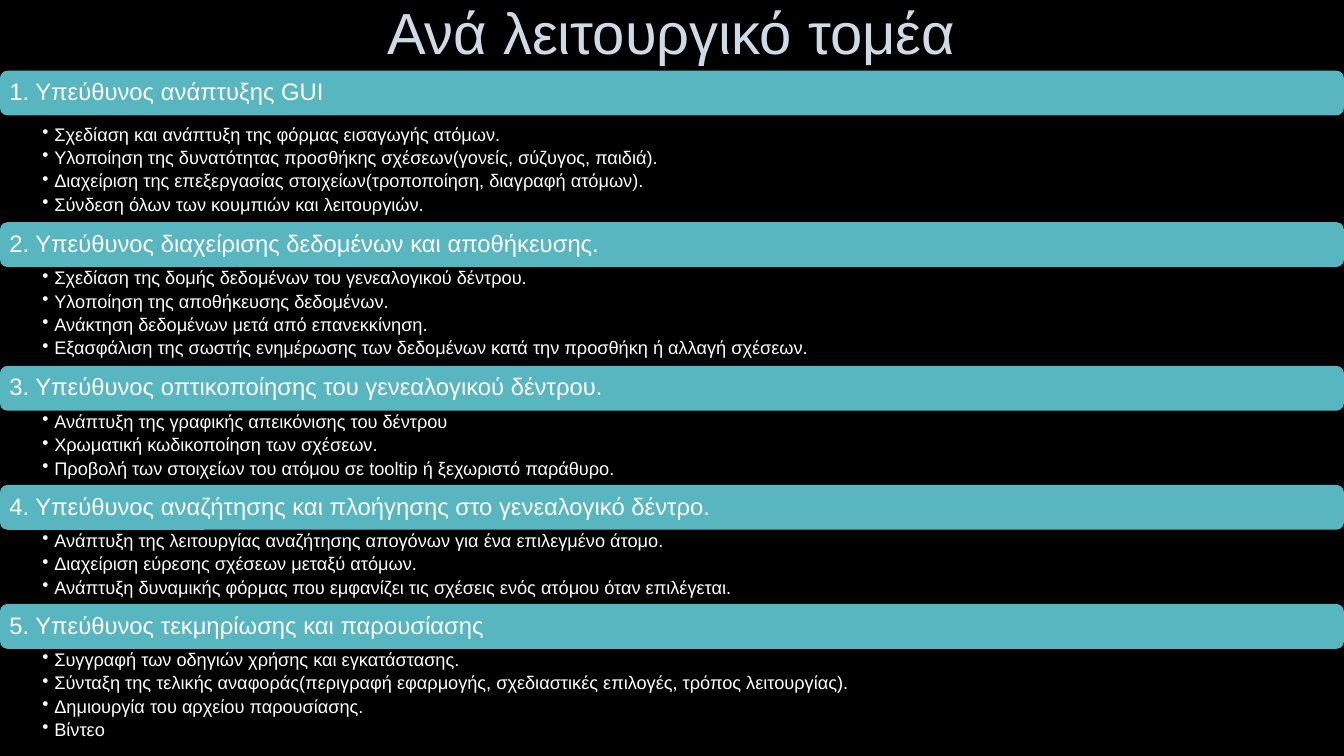
"""Build the slide that lists the duties of each functional area."""
from lxml.etree import SubElement
from pptx import Presentation
from pptx.dml.color import RGBColor
from pptx.enum.shapes import MSO_SHAPE as Preset
from pptx.enum.text import MSO_ANCHOR as Anchor, PP_ALIGN as Align
from pptx.oxml.ns import qn
from pptx.util import Cm, Pt

TITLE = "Ανά λειτουργικό τομέα"
AREAS = [
    ("1. Υπεύθυνος ανάπτυξης GUI", [
        "Σχεδίαση και ανάπτυξη της φόρμας εισαγωγής ατόμων.",
        "Υλοποίηση της δυνατότητας προσθήκης σχέσεων(γονείς, σύζυγος, παιδιά).",
        "Διαχείριση της επεξεργασίας στοιχείων(τροποποίηση, διαγραφή ατόμων).",
        "Σύνδεση όλων των κουμπιών και λειτουργιών.",
    ]),
    ("2. Υπεύθυνος διαχείρισης δεδομένων και αποθήκευσης.", [
        "Σχεδίαση της δομής δεδομένων του γενεαλογικού δέντρου.",
        "Υλοποίηση της αποθήκευσης δεδομένων.",
        "Ανάκτηση δεδομένων μετά από επανεκκίνηση.",
        "Εξασφάλιση της σωστής ενημέρωσης των δεδομένων κατά την προσθήκη ή αλλαγή σχέσεων.",
    ]),
    ("3. Υπεύθυνος οπτικοποίησης του γενεαλογικού δέντρου.", [
        "Ανάπτυξη της γραφικής απεικόνισης του δέντρου",
        "Χρωματική κωδικοποίηση των σχέσεων.",
        "Προβολή των στοιχείων του ατόμου σε tooltip ή ξεχωριστό παράθυρο.",
    ]),
    ("4. Υπεύθυνος αναζήτησης και πλοήγησης στο γενεαλογικό δέντρο.", [
        "Ανάπτυξη της λειτουργίας αναζήτησης απογόνων για ένα επιλεγμένο άτομο.",
        "Διαχείριση εύρεσης σχέσεων μεταξύ ατόμων.",
        "Ανάπτυξη δυναμικής φόρμας που εμφανίζει τις σχέσεις ενός ατόμου όταν επιλέγεται.",
    ]),
    ("5. Υπεύθυνος τεκμηρίωσης και παρουσίασης", [
        "Συγγραφή των οδηγιών χρήσης και εγκατάστασης.",
        "Σύνταξη της τελικής αναφοράς(περιγραφή εφαρμογής, σχεδιαστικές επιλογές, τρόπος λειτουργίας).",
        "Δημιουργία του αρχείου παρουσίασης.",
        "Βίντεο",
    ]),
]
COLORS = {"back": "000000", "title": "CEDBE6", "outline": "404040", "bar": "58B6C0", "text": "FFFFFF"}
FONT = "Arial"
WIDTH, HEIGHT = 33.87, 19.05
TITLE_LEFT, TITLE_WIDTH, TITLE_HEIGHT = 2.54, 28.75, 1.78
BAR_HEIGHT, LINE_HEIGHT, LIST_PAD, FIRST_GAP = 1.13, 0.62, 0.01, 0.2
HANG = 0.3


def write(box, lines, size, color="text", align=Align.LEFT, anchor=Anchor.MIDDLE,
          insets=(0.25, 0.13, 0.25, 0.13), after=0, bullet=None):
    frame = box.text_frame
    frame.word_wrap = True
    frame.vertical_anchor = anchor
    frame.margin_left, frame.margin_top, frame.margin_right, frame.margin_bottom = map(Cm, insets)
    for index, line in enumerate(lines):
        para = frame.add_paragraph() if index else frame.paragraphs[0]
        para.alignment = align
        para.line_spacing = 0.9
        props = para._p.get_or_add_pPr()
        if after:
            para.space_after = Pt(0)
            gap = props.find(qn("a:spcAft"))
            gap.remove(gap[0])
            SubElement(gap, qn("a:spcPct"), val=str(after * 1000))
        if bullet:
            para.level = 1
            props.set("marL", str(Cm(HANG)))
            props.set("indent", str(-Cm(HANG)))
            SubElement(props, qn("a:buChar"), char=bullet)
        span = para.add_run()
        span.text = line
        span.font.name = FONT
        span.font.size = Pt(size)
        span.font.color.rgb = RGBColor.from_string(COLORS[color])
    return frame


def outline(span):
    props = span._r.get_or_add_rPr()
    stroke = SubElement(props, qn("a:ln"), w=str(Pt(0.75)))
    props.insert(0, stroke)
    fill = SubElement(stroke, qn("a:solidFill"))
    shade = SubElement(fill, qn("a:srgbClr"), val=COLORS["outline"])
    SubElement(shade, qn("a:alpha"), val="10000")


def main():
    deck = Presentation()
    deck.slide_width, deck.slide_height = Cm(WIDTH), Cm(HEIGHT)
    page = deck.slides.add_slide(deck.slide_layouts[6])
    page.background.fill.solid()
    page.background.fill.fore_color.rgb = RGBColor.from_string(COLORS["back"])

    title = page.shapes.add_textbox(Cm(TITLE_LEFT), 0, Cm(TITLE_WIDTH), Cm(TITLE_HEIGHT))
    frame = write(title, [TITLE], 41.4, color="title", align=Align.CENTER)
    outline(frame.paragraphs[0].runs[0])

    top = TITLE_HEIGHT
    for index, (heading, duties) in enumerate(AREAS):
        bar = page.shapes.add_shape(Preset.ROUNDED_RECTANGLE, 0, Cm(top), Cm(WIDTH), Cm(BAR_HEIGHT))
        bar.shadow.inherit = False
        bar.fill.solid()
        bar.fill.fore_color.rgb = RGBColor.from_string(COLORS["bar"])
        bar.line.fill.background()
        write(bar, [heading], 17, insets=(0.18, 0.18, 0.18, 0.18), after=35)
        top += BAR_HEIGHT + (0 if index else FIRST_GAP)

        list_height = LINE_HEIGHT * len(duties) + LIST_PAD
        box = page.shapes.add_textbox(0, Cm(top), Cm(WIDTH), Cm(list_height))
        write(box, duties, 13, anchor=Anchor.TOP, insets=(1.07, 0.05, 0.33, 0.05), after=20, bullet="•")
        top += list_height

    deck.save("out.pptx")


if __name__ == "__main__":
    main()
